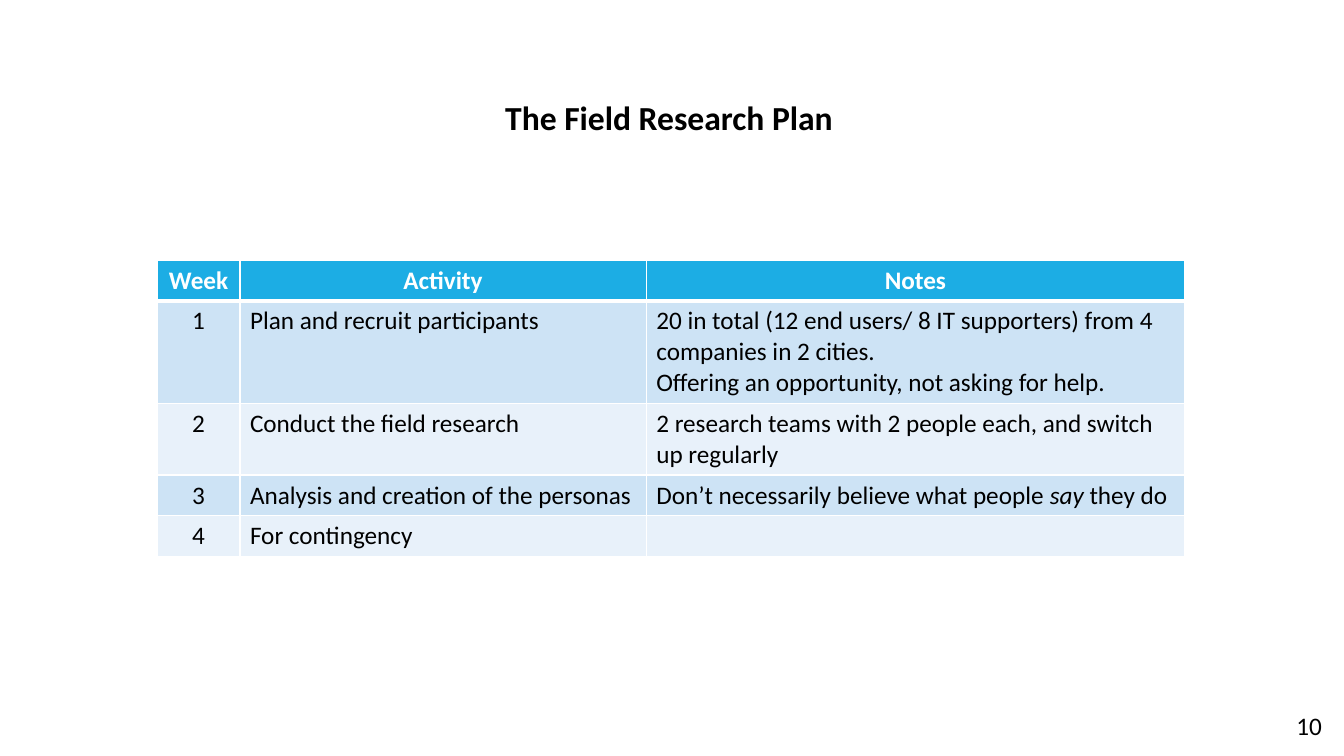
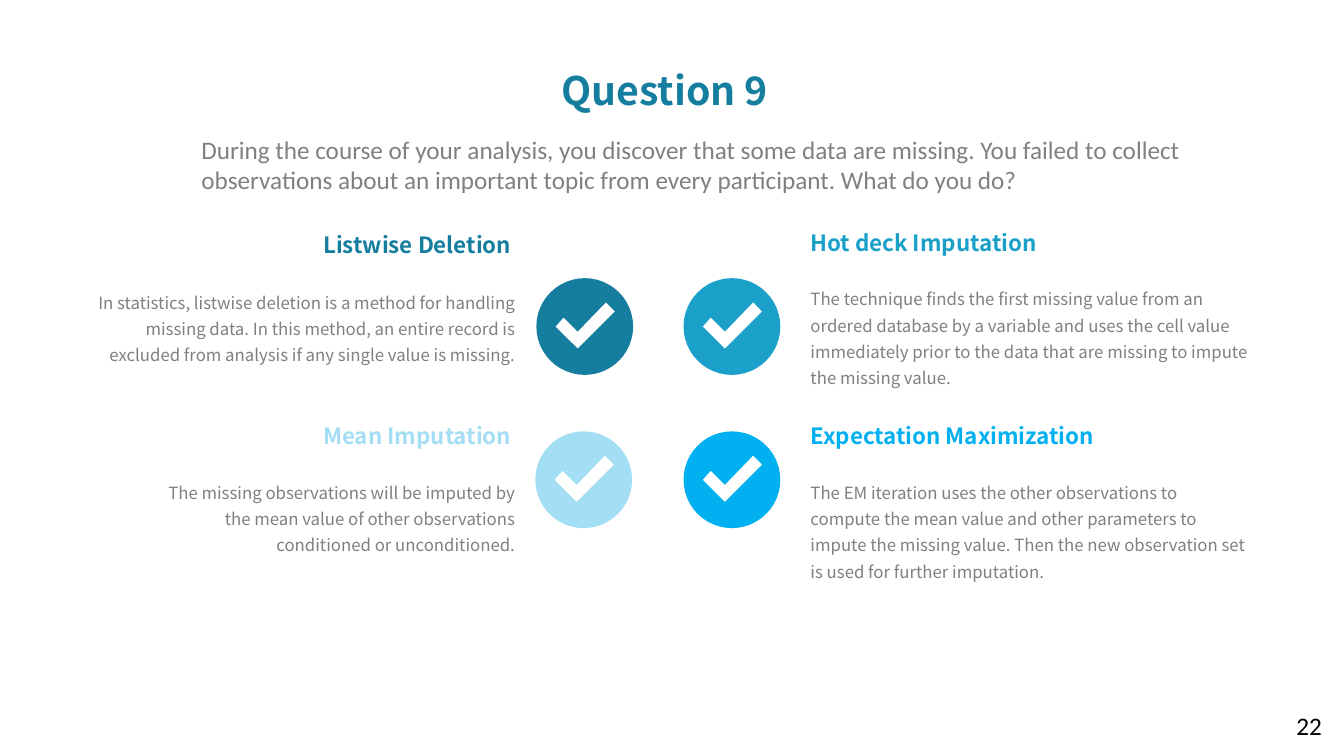
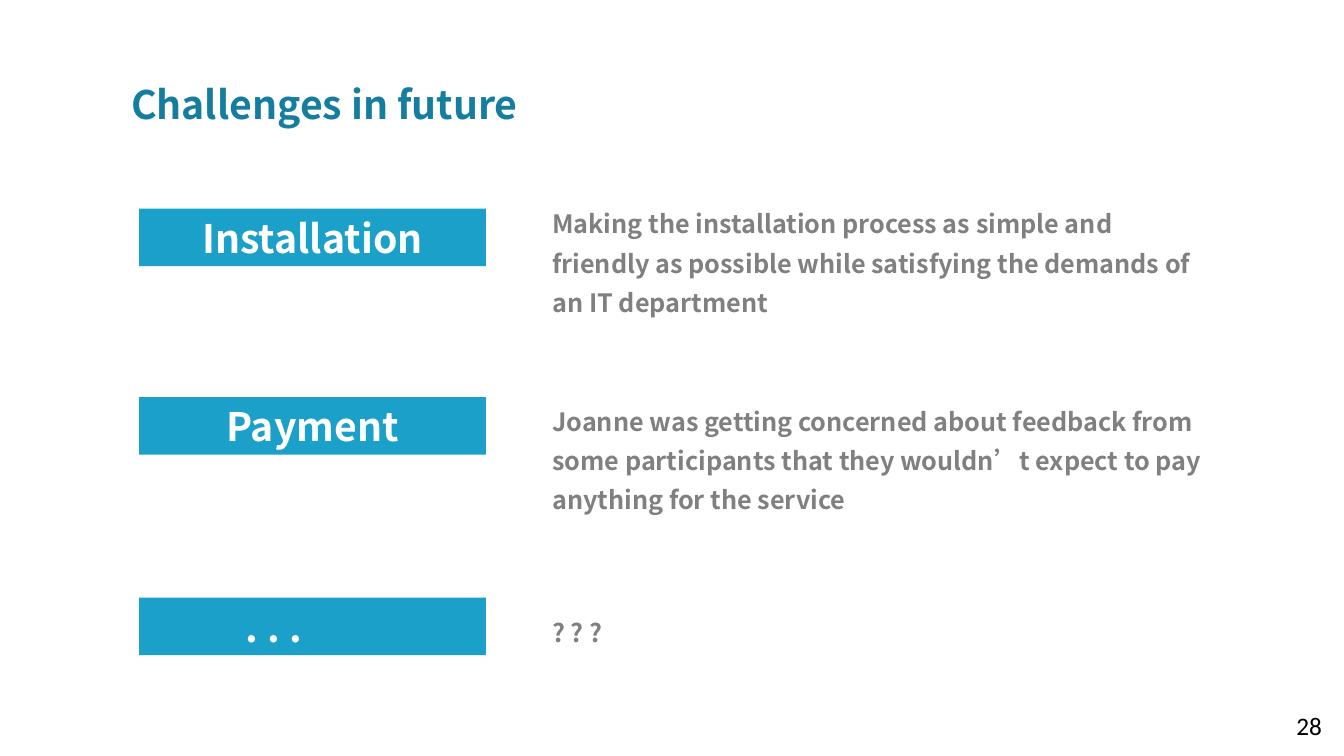
from math import cos, pi, sin

from lxml import etree
from pptx import Presentation
from pptx.dml.color import RGBColor
from pptx.enum.shapes import MSO_SHAPE
from pptx.enum.text import MSO_ANCHOR, MSO_AUTO_SIZE, PP_ALIGN
from pptx.oxml.ns import qn
from pptx.util import Inches, Pt

LEFT, CENTER, RIGHT = PP_ALIGN.LEFT, PP_ALIGN.CENTER, PP_ALIGN.RIGHT
TOP, MIDDLE = MSO_ANCHOR.TOP, MSO_ANCHOR.MIDDLE
RECTANGLE = MSO_SHAPE.RECTANGLE
NO_AUTOFIT = MSO_AUTO_SIZE.NONE

LATIN = "Calibri"
SANS = "Noto Sans CJK SC"
TITLE_ONLY = 5

COLORS = {
    "black": "000000",
    "white": "FFFFFF",
    "gray": "808080",
    "teal": "157E9F",
    "blue": "1BA0C9",
    "bright": "00B0F0",
    "pale": "A4DEF4",
    "header": "1CADE4",
    "odd_row": "CDE3F5",
    "even_row": "E8F1FA",
}

CHECK_RADIUS = 0.48
CHECK_SIDES = 48
CHECK_MARK = [(-0.07, 0.22), (-0.29, 0), (-0.21, -0.09),
              (-0.07, 0.05), (0.21, -0.24), (0.3, -0.15)]

PLAN_COLUMNS = [0.82, 4.03, 5.34]
PLAN_ROWS = [
    (0.4, ["Week", "Activity", "Notes"]),
    (1.01, ["1", "Plan and recruit participants",
            "20 in total (12 end users/ 8 IT supporters) from 4 companies in 2 cities.\n"
            "Offering an opportunity, not asking for help."]),
    (0.71, ["2", "Conduct the field research",
            "2 research teams with 2 people each, and switch up regularly"]),
    (0.4, ["3", "Analysis and creation of the personas",
           "Don’t necessarily believe what people *say *they do"]),
    (0.4, ["4", "For contingency", ""]),
]

METHODS = [
    ("Listwise Deletion", "teal", RIGHT, (5.8, 3.24), (1.73, 2.24), (0.62, 2.79, 4.59, 0.89),
     "In statistics, listwise deletion is a method for handling missing data. In this method, "
     "an entire record is excluded from analysis if any single value is missing."),
    ("Hot deck Imputation", "blue", LEFT, (7.26, 3.24), (7.94, 2.22), (7.94, 2.76, 4.55, 1.15),
     "The technique finds the first missing value from an ordered database by a variable and "
     "uses the cell value immediately prior to the data that are missing to impute the missing "
     "value."),
    ("Mean Imputation", "pale", RIGHT, (5.79, 4.76), (1.73, 4.14), (1.41, 4.68, 3.8, 0.89),
     "The missing observations will be imputed by the mean value of other observations "
     "conditioned or unconditioned."),
    ("Expectation Maximization", "bright", LEFT, (7.26, 4.76), (7.94, 4.14),
     (7.94, 4.68, 4.55, 1.15),
     "The EM iteration uses the other observations to compute the mean value and other "
     "parameters to impute the missing value. Then the new observation set is used for further "
     "imputation."),
]

CHALLENGES = [
    ("Installation", 2.07, 1.93, 1.28,
     "Making the installation process as simple and friendly as possible while satisfying the "
     "demands of an IT department"),
    ("Payment", 3.94, 3.89, 1.28,
     "Joanne was getting concerned about feedback from some participants that they wouldn’t "
     "expect to pay anything for the service"),
    (". . .", 5.93, 5.99, 0.46, "? ? ?"),
]


def rgb(color):
    return RGBColor.from_string(COLORS[color])


def style_paragraph(paragraph, size, color, font=SANS, bold=False, align=LEFT, spacing=1):
    paragraph.alignment = align
    paragraph.line_spacing = spacing
    paragraph.font.name = font
    paragraph.font.size = Pt(size)
    paragraph.font.bold = bold
    paragraph.font.color.rgb = rgb(color)


def write_text(shape, text, size, color, anchor=TOP, **style):
    frame = shape.text_frame
    frame.word_wrap = True
    frame.auto_size = NO_AUTOFIT
    frame.vertical_anchor = anchor
    frame.text = text
    style_paragraph(frame.paragraphs[0], size, color, **style)


def add_text(slide, box, text, size, color, **style):
    shape = slide.shapes.add_textbox(*map(Inches, box))
    write_text(shape, text, size, color, **style)


def fill_shape(shape, color):
    shape.shadow.inherit = False
    shape.fill.solid()
    shape.fill.fore_color.rgb = rgb(color)
    shape.line.fill.background()


def add_slide(presentation, title, box, number, size=28, color="teal", **style):
    slide = presentation.slides.add_slide(presentation.slide_layouts[TITLE_ONLY])
    shape = slide.shapes.title
    shape.left, shape.top, shape.width, shape.height = map(Inches, box)
    write_text(shape, title, size, color, anchor=MIDDLE, bold=True, **style)
    add_text(slide, (12.76, 7, 0.57, 0.4), number, 18, "black", font=LATIN)
    return slide


def set_borders(cell, bottom_width):
    properties = cell._tc.get_or_add_tcPr()
    widths = {"a:lnL": 1, "a:lnR": 1, "a:lnT": 1, "a:lnB": bottom_width}
    for position, (tag, width) in enumerate(widths.items()):
        line = etree.Element(qn(tag), w=str(Pt(width)))
        fill = etree.SubElement(line, qn("a:solidFill"))
        etree.SubElement(fill, qn("a:srgbClr"), val=COLORS["white"])
        properties.insert(position, line)


def fill_cell(cell, text, fill, color, bold, align):
    cell.fill.solid()
    cell.fill.fore_color.rgb = rgb(fill)
    frame = cell.text_frame
    for index, line in enumerate(text.split("\n")):
        paragraph = frame.add_paragraph() if index else frame.paragraphs[0]
        style_paragraph(paragraph, 18, color, font=LATIN, bold=bold, align=align)
        for position, part in enumerate(line.split("*")):
            if part:
                run = paragraph.add_run()
                run.text = part
                if position % 2:
                    run.font.italic = True


def add_plan_table(slide):
    height = sum(row_height for row_height, _ in PLAN_ROWS)
    box = (1.56, 2.58, sum(PLAN_COLUMNS), height)
    table = slide.shapes.add_table(len(PLAN_ROWS), len(PLAN_COLUMNS), *map(Inches, box)).table
    for column, width in zip(table.columns, PLAN_COLUMNS):
        column.width = Inches(width)
    for row_index, (row_height, texts) in enumerate(PLAN_ROWS):
        table.rows[row_index].height = Inches(row_height)
        is_header = row_index == 0
        band = "odd_row" if row_index % 2 else "even_row"
        for column_index, text in enumerate(texts):
            cell = table.cell(row_index, column_index)
            fill_cell(cell, text, "header" if is_header else band,
                      "white" if is_header else "black", is_header,
                      CENTER if is_header or column_index == 0 else LEFT)
            set_borders(cell, 3 if is_header else 1)


def add_check(slide, center, color):
    angles = [2 * pi * step / CHECK_SIDES for step in range(CHECK_SIDES)]
    circle = [(CHECK_RADIUS * cos(angle), CHECK_RADIUS * sin(angle)) for angle in angles]
    outlines = [[(Inches(center[0] + x), Inches(center[1] + y)) for x, y in outline]
                for outline in (circle, CHECK_MARK)]
    builder = slide.shapes.build_freeform(*outlines[0][0])
    builder.add_line_segments(outlines[0][1:])
    builder.move_to(*outlines[1][0])
    builder.add_line_segments(outlines[1][1:])
    fill_shape(builder.convert_to_shape(), color)


def add_method(slide, heading, color, align, center, corner, box, text):
    add_check(slide, center, color)
    add_text(slide, (*corner, 3.44, 0.37), heading, 16, color, bold=True, align=align)
    add_text(slide, box, text, 12, "gray", align=align, spacing=1.3)


def add_challenge(slide, label, label_top, text_top, text_height, text):
    shape = slide.shapes.add_shape(RECTANGLE, *map(Inches, (1.38, label_top, 3.44, 0.57)))
    fill_shape(shape, "blue")
    is_open = label == ". . ."
    write_text(shape, label, 28, "white", anchor=MIDDLE, bold=True,
               align=LEFT if is_open else CENTER)
    if is_open:
        shape.text_frame.margin_left = Inches(1.06)
    add_text(slide, (5.38, text_top, 6.64, text_height), text, 18, "gray",
             bold=True, spacing=1.3)


def main():
    presentation = Presentation()
    presentation.slide_width = Inches(13.33)
    presentation.slide_height = Inches(7.5)

    plan = add_slide(presentation, "The Field Research Plan", (4.91, 0.96, 3.49, 0.46), "10",
                     size=24, color="black", font=LATIN, spacing=0.9)
    add_plan_table(plan)

    question = add_slide(presentation, "Question 9", (4.03, 0.61, 5.12, 0.57), "22",
                         align=CENTER)
    add_text(question, (1.9, 1.28, 10.5, 0.71),
             "During the course of your analysis, you discover that some data are missing. "
             "You failed to collect observations about an important topic from every "
             "participant. What do you do?", 18, "gray", font=LATIN)
    for method in METHODS:
        add_method(question, *method)

    future = add_slide(presentation, "Challenges in future", (1.2, 0.74, 6.49, 0.57), "28")
    for challenge in CHALLENGES:
        add_challenge(future, *challenge)

    presentation.save("out.pptx")


if __name__ == "__main__":
    main()
